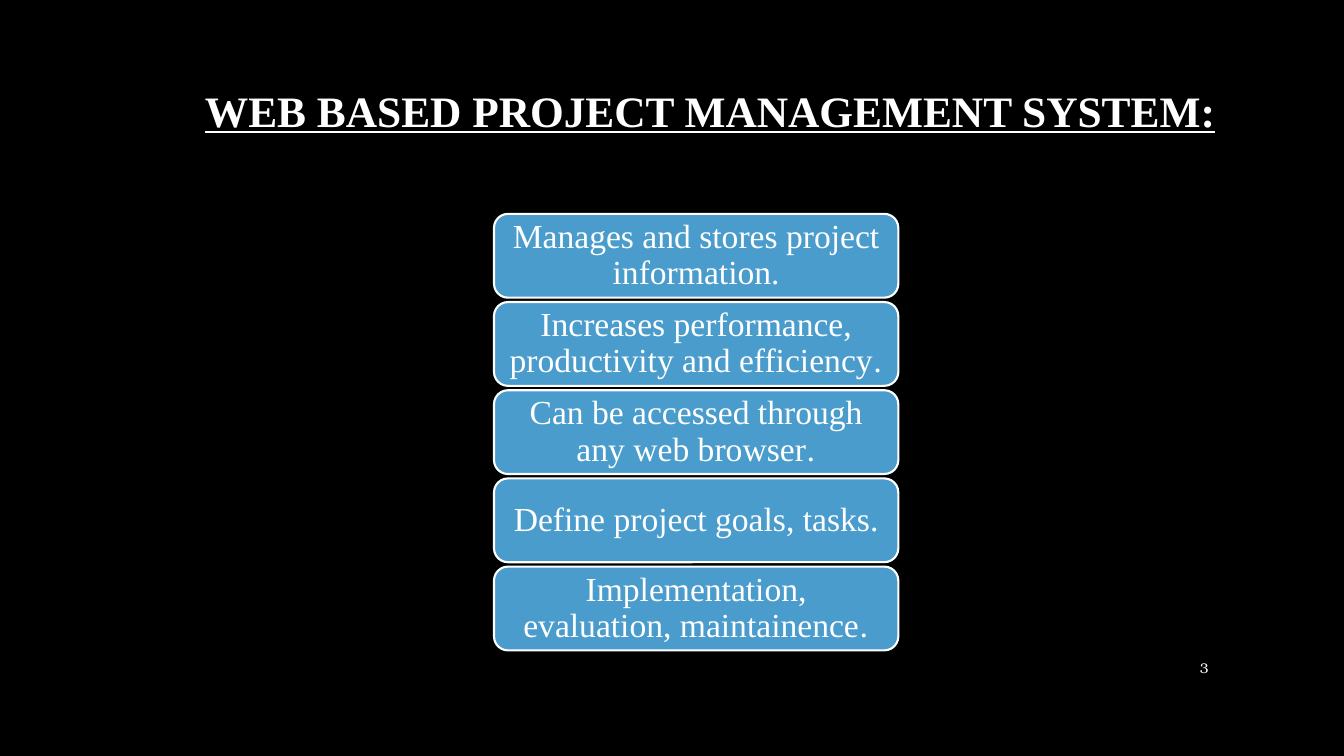
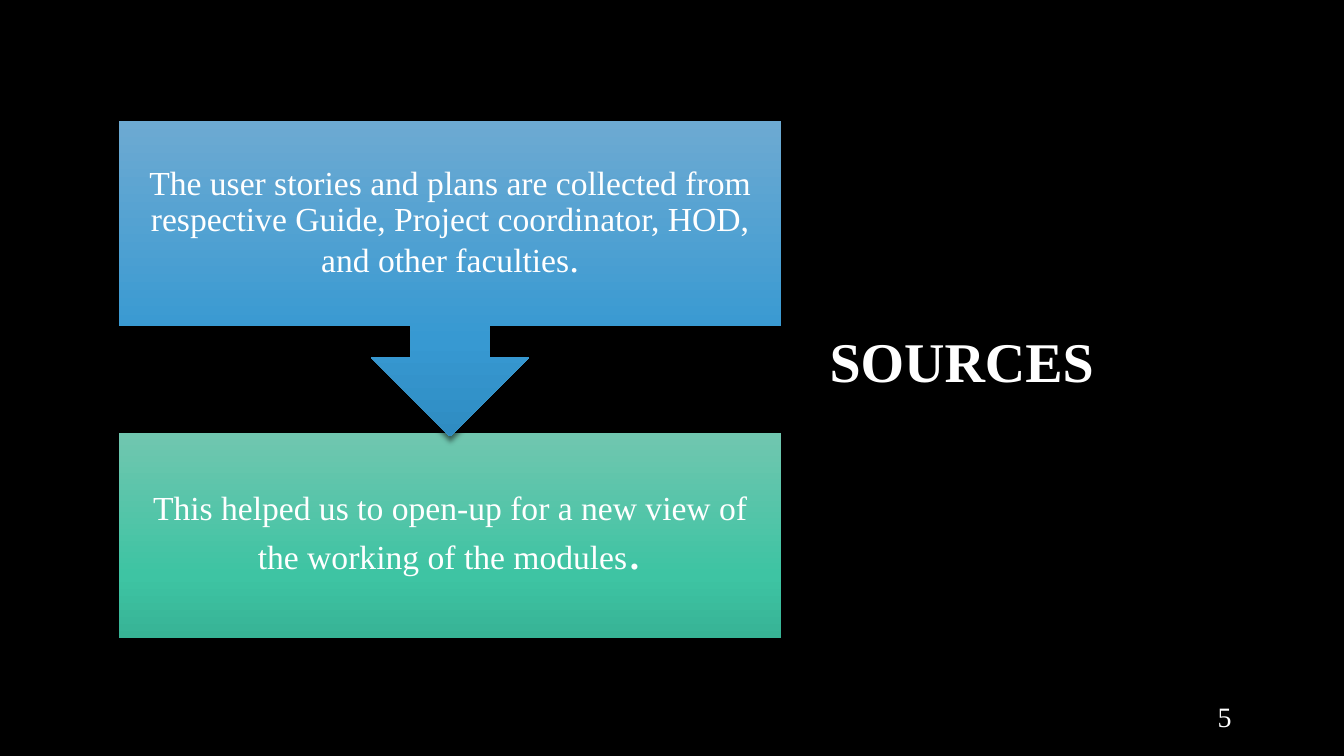
from copy import deepcopy

from lxml import etree
from pptx import Presentation
from pptx import util as u
from pptx.dml.color import RGBColor
from pptx.enum import shapes, text
from pptx.oxml import ns

BLACK = RGBColor(0x00, 0x00, 0x00)
WHITE = RGBColor(0xFF, 0xFF, 0xFF)
BLUE = RGBColor(0x4A, 0x9C, 0xCC)
BLUE_FADE = (RGBColor(0x6D, 0xAA, 0xD2), RGBColor(0x37, 0x99, 0xD2), RGBColor(0x2F, 0x8C, 0xC2))
GREEN_FADE = (RGBColor(0x70, 0xC6, 0xAF), RGBColor(0x3E, 0xC4, 0xA3), RGBColor(0x37, 0xB3, 0x95))
FADE_STOPS = (0, 0.69, 1)

SERIF = "Times New Roman"
BOOK = "TeX Gyre Bonum"
CENTER = text.PP_ALIGN.CENTER
RIGHT = text.PP_ALIGN.RIGHT


def cm(box):
    """Turn a (left, top, width, height) box into lengths."""
    return [u.Cm(value) for value in box]


def add_span(para, words, size=24, font=SERIF, bold=False, underline=False):
    span = para.add_run()
    span.text = words
    span.font.size = u.Pt(size)
    span.font.name = font
    span.font.bold = bold
    span.font.underline = underline
    span.font.color.rgb = WHITE


def write(frame, words, align=CENTER, spacing=0.9, stop_size=None, stop_font=SERIF, **style):
    """Write one paragraph; stop_size gives its full stop a size of its own."""
    frame.word_wrap = True
    frame.auto_size = text.MSO_AUTO_SIZE.NONE
    frame.vertical_anchor = text.MSO_ANCHOR.MIDDLE
    para = frame.paragraphs[0]
    para.alignment = align
    para.line_spacing = spacing
    add_span(para, words, **style)
    if stop_size:
        add_span(para, ".", size=stop_size, font=stop_font)


def add_page(deck, title, title_box, number, number_box, number_style, **title_style):
    """Add a slide with its title and page number."""
    page = deck.slides.add_slide(deck.slide_layouts.get_by_name("Title Only"))
    heading = page.shapes.title
    heading.left, heading.top, heading.width, heading.height = cm(title_box)
    write(heading.text_frame, title, bold=True, **title_style)
    box = page.shapes.add_textbox(*cm(number_box))
    write(box.text_frame, number, align=RIGHT, spacing=1.0, **number_style)
    return page


def add_feature_stack(page, box, features, gap=0.11):
    """Stack equal rounded boxes inside the given box."""
    left, top, width, height = box
    step = (height + gap) / len(features)
    for index, (words, stop_style) in enumerate(features):
        feature = page.shapes.add_shape(
            shapes.MSO_SHAPE.ROUNDED_RECTANGLE,
            *cm((left, top + index * step, width, step - gap)))
        feature.shadow.inherit = False
        feature.fill.solid()
        feature.fill.fore_color.rgb = BLUE
        feature.line.color.rgb = WHITE
        feature.line.width = u.Pt(1.5)
        write(feature.text_frame, words, **stop_style)


def fade(shape, colors):
    """Fill from top to bottom through three colours."""
    shape.fill.gradient()
    shape.fill.gradient_angle = 270
    stop_list = shape.element.spPr.find(".//" + ns.qn("a:gsLst"))
    stop_list.append(deepcopy(stop_list[-1]))
    for stop, color, position in zip(shape.fill.gradient_stops, colors, FADE_STOPS):
        stop.color.rgb = color
        stop.position = position


def drop_shadow(shape):
    shape.shadow.inherit = False
    effects = shape.element.spPr.find(ns.qn("a:effectLst"))
    shadow = etree.SubElement(effects, ns.qn("a:outerShdw"), blurRad=str(u.Pt(4)),
                              dist=str(u.Pt(3)), dir="5400000", rotWithShape="0")
    color = etree.SubElement(shadow, ns.qn("a:srgbClr"), val=str(BLACK))
    etree.SubElement(color, ns.qn("a:alpha"), val="54000")


def add_step(page, kind, box, colors, words, **stop_style):
    step = page.shapes.add_shape(kind, *cm(box))
    fade(step, colors)
    step.line.fill.background()
    drop_shadow(step)
    frame = step.text_frame
    frame.margin_left = frame.margin_right = u.Cm(0.48)
    frame.margin_top = frame.margin_bottom = u.Cm(0.48)
    write(frame, words, **stop_style)


def add_source_flow(page, box):
    """Place the result panel, then the callout whose arrow reaches it."""
    left, top, width, height = box
    panel_height, callout_height = 5.16, 7.95
    add_step(page, shapes.MSO_SHAPE.RECTANGLE,
             (left, top + height - panel_height, width, panel_height), GREEN_FADE,
             "This helped us to open-up for a new view of the working of the modules",
             stop_size=34, stop_font=BOOK)
    add_step(page, shapes.MSO_SHAPE.DOWN_ARROW_CALLOUT,
             (left, top, width, callout_height), BLUE_FADE,
             "The user stories and plans are collected from respective Guide, "
             "Project coordinator, HOD, and other faculties",
             stop_size=28)


def build_system_page(deck):
    page = add_page(deck, "WEB BASED PROJECT MANAGEMENT SYSTEM:", (2.54, 1.7, 28.75, 3.68),
                    "3", (29.21, 16.33, 1.5, 1.02), dict(size=10, font=BOOK),
                    size=31, underline=True)
    # The heading sits right of centre and above the middle of its box
    frame = page.shapes.title.text_frame
    frame.margin_left = u.Cm(2.2)
    frame.margin_bottom = u.Cm(1.5)
    book_stop = dict(stop_size=22, stop_font=BOOK)
    add_feature_stack(page, (12.45, 5.39, 10.19, 11.0), [
        ("Manages and stores project information.", {}),
        ("Increases performance, productivity and efficiency", book_stop),
        ("Can be accessed through any web browser", book_stop),
        ("Define project goals, tasks.", {}),
        ("Implementation, evaluation, maintainence", book_stop),
    ])


def build_sources_page(deck):
    page = add_page(deck, "SOURCES", (19.18, 1.42, 10.11, 15.52),
                    "5", (29.21, 17.53, 2.08, 1.02), dict(size=20), size=40)
    add_source_flow(page, (3.0, 3.05, 16.69, 13.03))


def main():
    deck = Presentation()
    deck.slide_width, deck.slide_height = u.Cm(33.87), u.Cm(19.05)
    # Shared black background
    backdrop = deck.slide_master.background.fill
    backdrop.solid()
    backdrop.fore_color.rgb = BLACK
    build_system_page(deck)
    build_sources_page(deck)
    deck.save("out.pptx")


if __name__ == "__main__":
    main()
